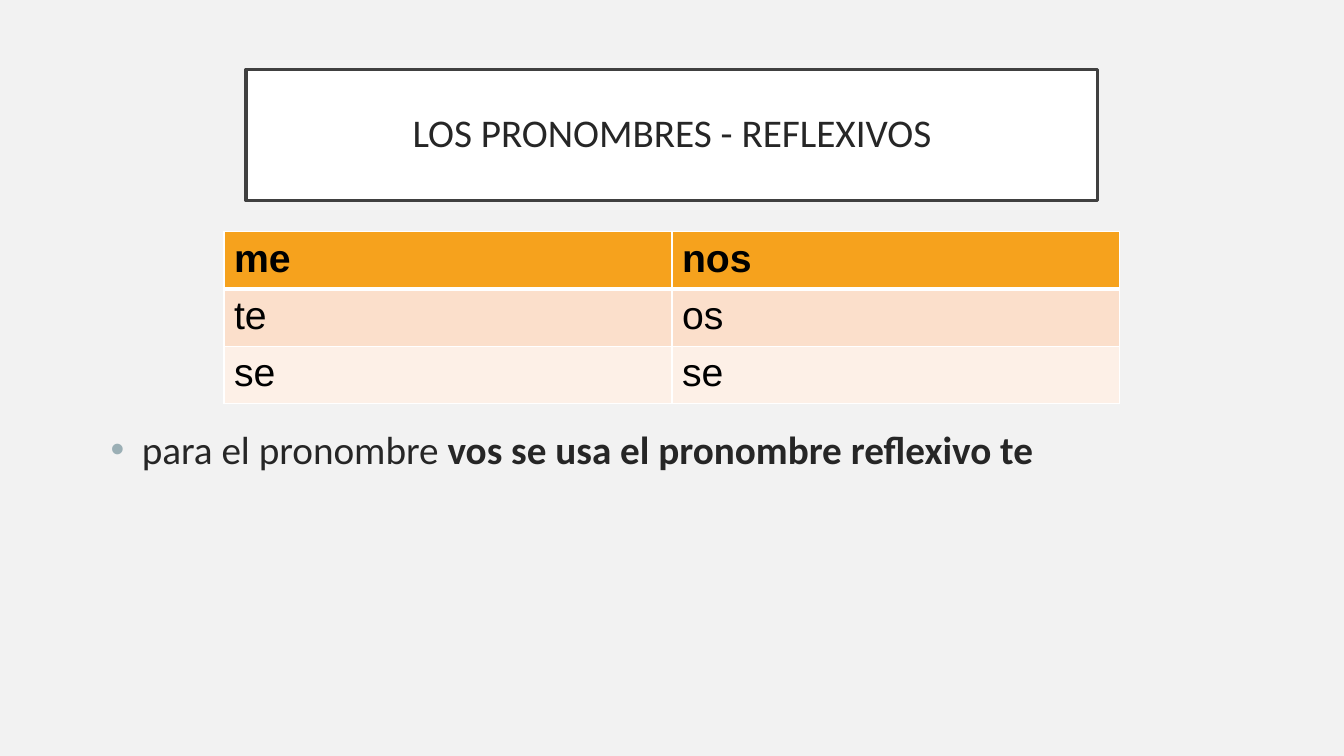
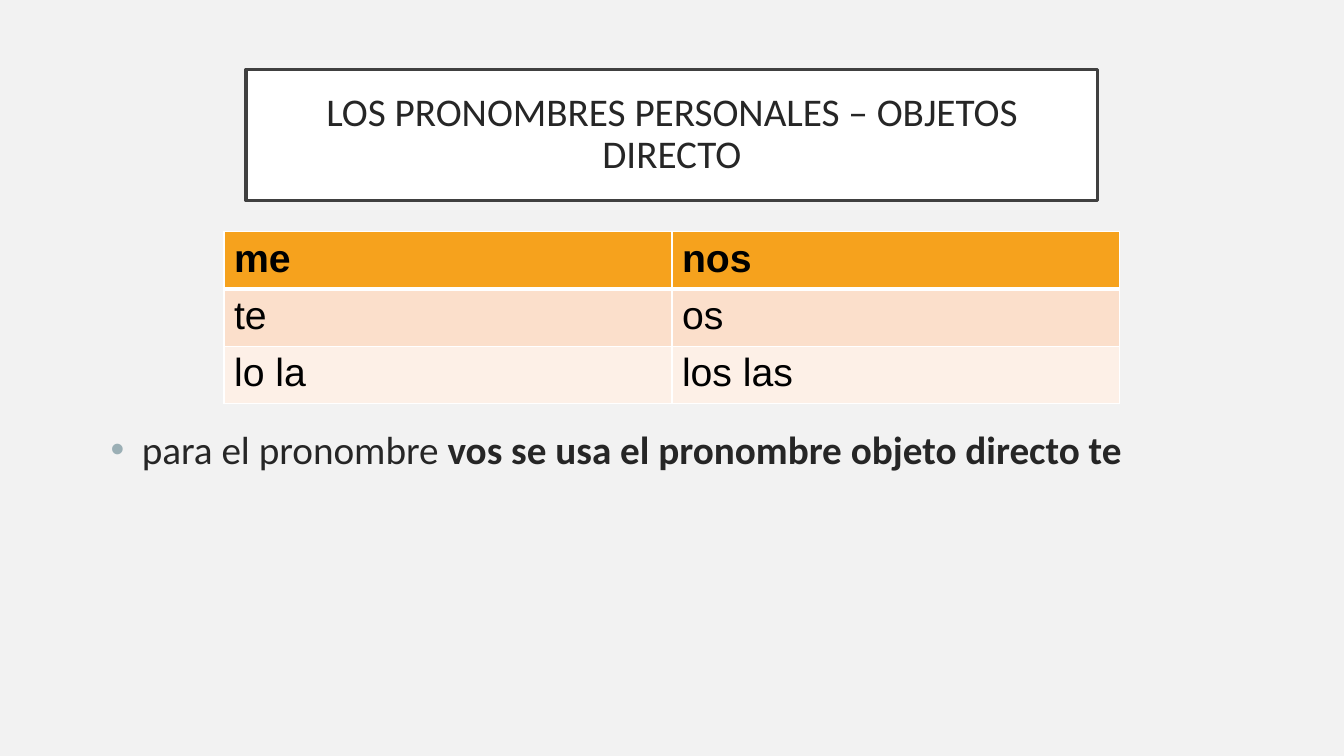
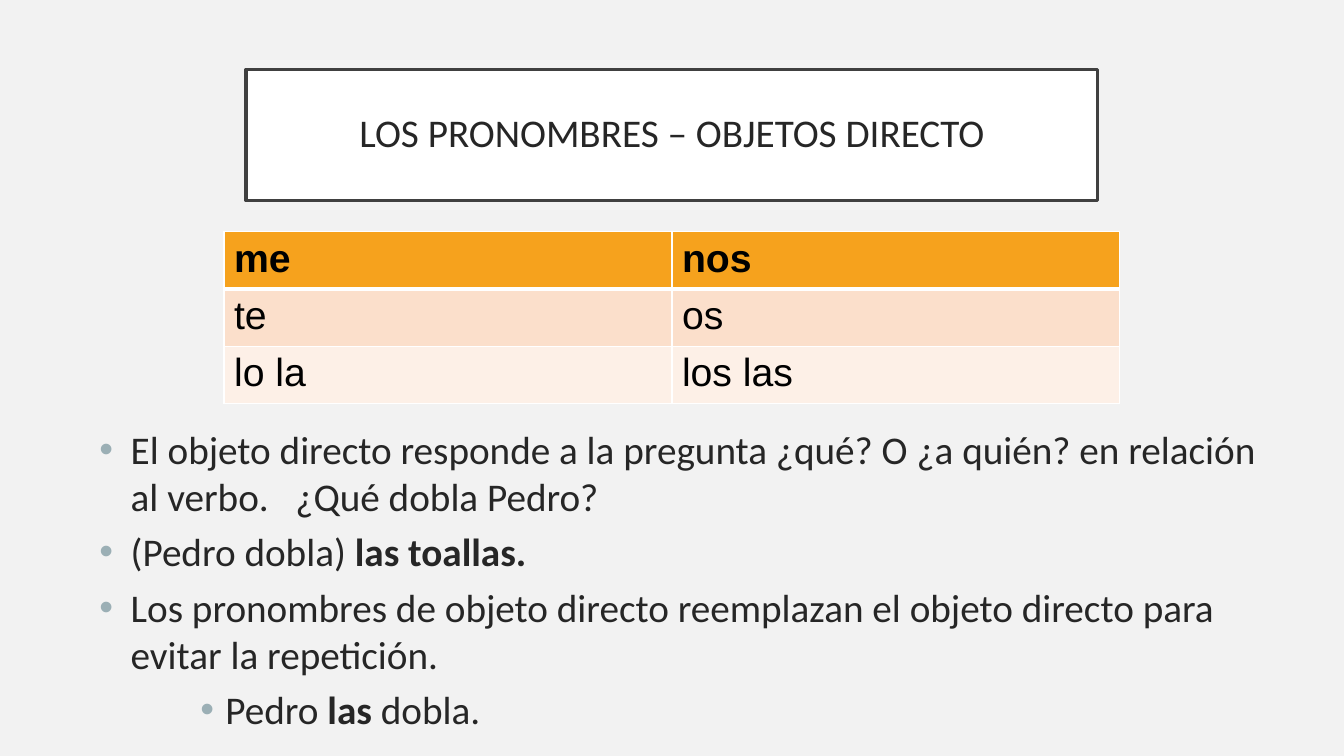
from lxml.etree import SubElement
from pptx import Presentation
from pptx.dml.color import RGBColor
from pptx.enum.shapes import MSO_SHAPE
from pptx.enum.text import MSO_ANCHOR, PP_ALIGN
from pptx.oxml.ns import qn
from pptx.util import Pt

BACKGROUND = RGBColor(0xF2, 0xF2, 0xF2)
WHITE = RGBColor(0xFF, 0xFF, 0xFF)
BLACK = RGBColor(0x00, 0x00, 0x00)
FRAME = RGBColor(0x40, 0x40, 0x40)
INK = RGBColor(0x26, 0x26, 0x26)
BULLET = RGBColor(0x9B, 0xAF, 0xB5)
ROW_FILLS = [RGBColor(0xF6, 0xA2, 0x1D), RGBColor(0xFB, 0xDF, 0xCB), RGBColor(0xFD, 0xF0, 0xE7)]

# Boxes: left, top, width, height in points
TITLE_BOX = (175.7, 49.7, 608.4, 93.6)
TABLE_BOX = (160, 165.6, 640, 114.9)
BODY_BOX = (64, 300.2, 849.6, 244)

SIZE = Pt(28)
TEXT_FORMAT = {"name": "Calibri", "size": SIZE}
TABLE_FORMAT = {"name": "Arial", "size": SIZE}

# Bullet styles: left margin, hanging indent in points
NOTE = (30.2, 22.3)
POINT = (22.3, 22.3)
EXAMPLE = (90, 18)

DIRECT_PRONOUNS = [("me", "nos"), ("te", "os"), ("lo la", "los las")]
# Each bullet: style, then (text, bold) runs
SLIDES = [
    ("LOS PRONOMBRES - REFLEXIVOS",
     [("me", "nos"), ("te", "os"), ("se", "se")],
     [(NOTE, [("para el pronombre ", False), ("vos se usa el pronombre reflexivo te", True)])]),
    ("LOS PRONOMBRES PERSONALES – OBJETOS DIRECTO",
     DIRECT_PRONOUNS,
     [(NOTE, [("para el pronombre ", False), ("vos se usa el pronombre objeto directo te", True)])]),
    ("LOS PRONOMBRES – OBJETOS DIRECTO",
     DIRECT_PRONOUNS,
     [(POINT, [("El objeto directo responde a la pregunta ¿qué? O ¿a quién? en relación "
                "al verbo.   ¿Qué dobla Pedro?", False)]),
      (POINT, [("(Pedro dobla) ", False), ("las toallas.", True)]),
      (POINT, [("Los pronombres de objeto directo reemplazan el objeto directo para "
                "evitar la repetición.", False)]),
      (EXAMPLE, [("Pedro ", False), ("las ", True), ("dobla.", False)])]),
]


def set_all(target, values):
    for name, value in values.items():
        setattr(target, name, value)


def add_run(paragraph, text, font_format, color, bold=False):
    run = paragraph.add_run()
    run.text = text
    set_all(run.font, {**font_format, "bold": bold})
    run.font.color.rgb = color


def add_title(slide, box, text):
    shape = slide.shapes.add_shape(MSO_SHAPE.RECTANGLE, *map(Pt, box))
    shape.shadow.inherit = False
    shape.fill.solid()
    shape.fill.fore_color.rgb = WHITE
    shape.line.color.rgb = FRAME
    shape.line.width = Pt(2.5)
    margins = {f"margin_{side}": Pt(14.4) for side in ("left", "top", "right", "bottom")}
    set_all(shape.text_frame, {**margins, "word_wrap": True, "vertical_anchor": MSO_ANCHOR.MIDDLE})
    paragraph = shape.text_frame.paragraphs[0]
    set_all(paragraph, {"alignment": PP_ALIGN.CENTER, "line_spacing": 0.9})
    add_run(paragraph, text, TEXT_FORMAT, INK)


def set_borders(cell, widths):
    """Draw white cell borders, given widths in points by side letter."""
    properties = cell._tc.get_or_add_tcPr()
    for side, width in widths.items():
        line = SubElement(properties, qn(f"a:ln{side}"), w=str(Pt(width)))
        fill = SubElement(line, qn("a:solidFill"))
        SubElement(fill, qn("a:srgbClr"), val=str(WHITE))


def add_pronoun_table(slide, box, rows):
    row_count, column_count = len(rows), len(rows[0])
    table = slide.shapes.add_table(row_count, column_count, *map(Pt, box)).table
    for column in table.columns:
        column.width = Pt(box[2] / column_count)
    for row_index, texts in enumerate(rows):
        table.rows[row_index].height = Pt(box[3] / row_count)
        is_header = row_index == 0
        borders = {"L": 1, "R": 1, "T": 3 if row_index == 1 else 1, "B": 3 if is_header else 1}
        for column_index, text in enumerate(texts):
            cell = table.cell(row_index, column_index)
            set_borders(cell, borders)
            cell.fill.solid()
            cell.fill.fore_color.rgb = ROW_FILLS[row_index]
            add_run(cell.text_frame.paragraphs[0], text, TABLE_FORMAT, BLACK, is_header)


def set_bullet(paragraph, left, hanging):
    properties = paragraph._p.get_or_add_pPr()
    properties.set("marL", str(Pt(left)))
    properties.set("indent", str(-Pt(hanging)))
    color = SubElement(properties, qn("a:buClr"))
    SubElement(color, qn("a:srgbClr"), val=str(BULLET))
    SubElement(properties, qn("a:buFont"), typeface="Arial")
    SubElement(properties, qn("a:buChar"), char="•")


def add_body(slide, box, bullets):
    frame = slide.shapes.add_textbox(*map(Pt, box)).text_frame
    frame.word_wrap = True
    for index, (style, runs) in enumerate(bullets):
        paragraph = frame.add_paragraph() if index else frame.paragraphs[0]
        paragraph.space_before = Pt(6 if index else 0)
        set_bullet(paragraph, *style)
        for text, bold in runs:
            add_run(paragraph, text, TEXT_FORMAT, INK, bold)


def add_pronoun_slide(presentation, title, rows, bullets):
    slide = presentation.slides.add_slide(presentation.slide_layouts[6])
    add_title(slide, TITLE_BOX, title)
    add_body(slide, BODY_BOX, bullets)
    add_pronoun_table(slide, TABLE_BOX, rows)


def main():
    presentation = Presentation()
    set_all(presentation, {"slide_width": Pt(960), "slide_height": Pt(540)})
    background = presentation.slide_master.background.fill
    background.solid()
    background.fore_color.rgb = BACKGROUND
    for content in SLIDES:
        add_pronoun_slide(presentation, *content)
    presentation.save("out.pptx")


if __name__ == "__main__":
    main()
